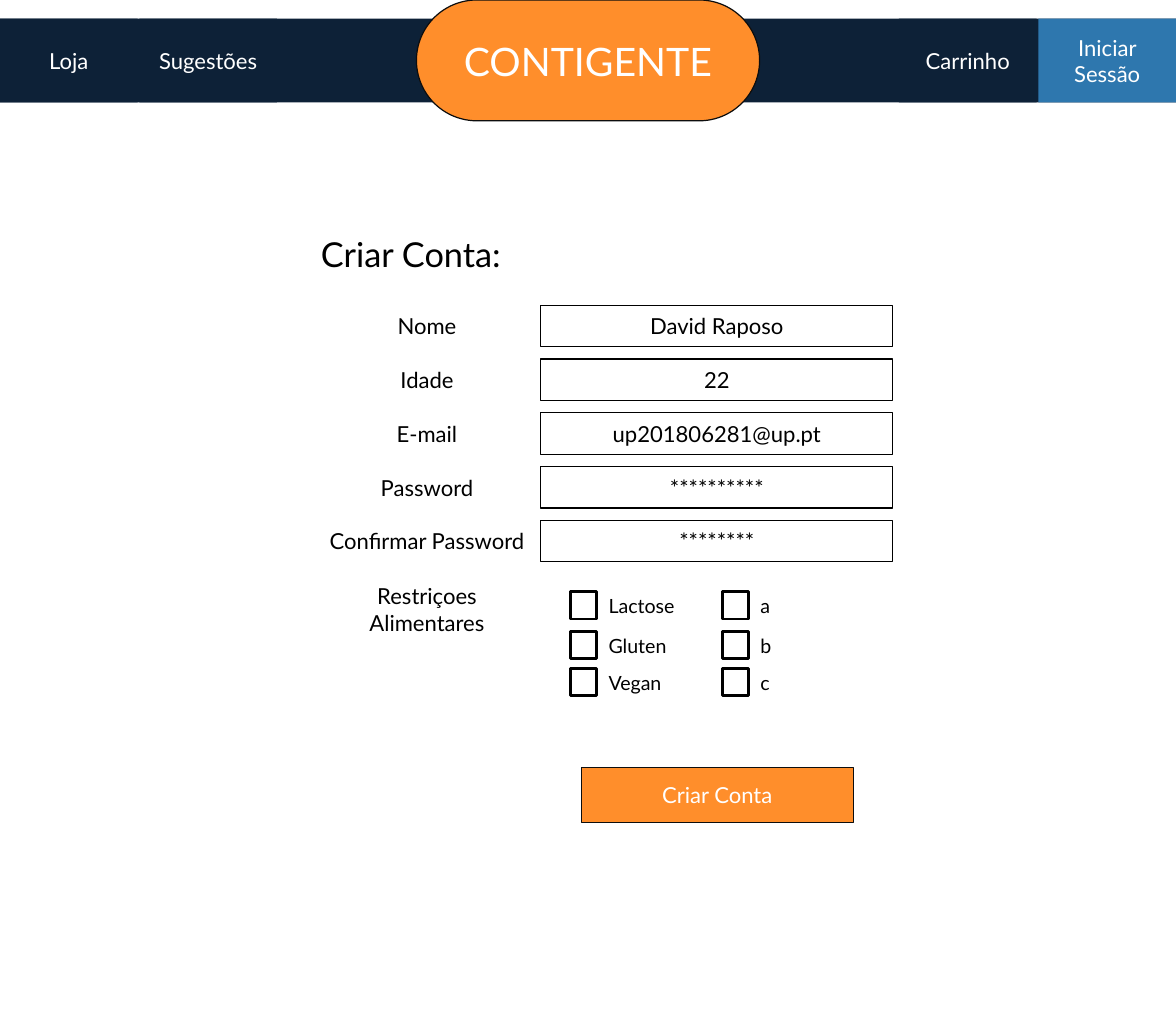
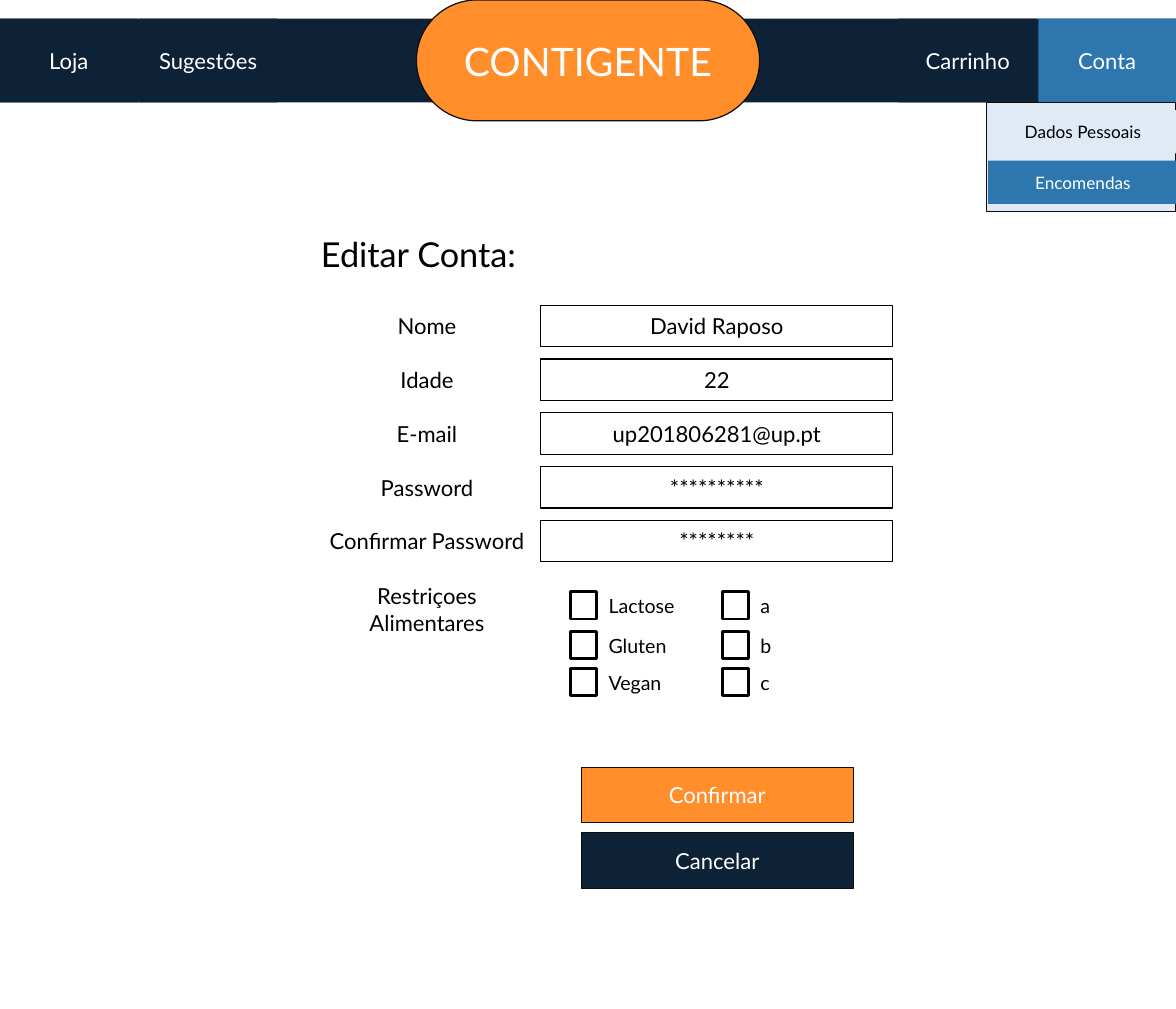
from dataclasses import dataclass

from pptx import Presentation
from pptx.dml.color import RGBColor
from pptx.enum.shapes import MSO_SHAPE
from pptx.enum.text import MSO_ANCHOR, MSO_AUTO_SIZE, PP_ALIGN
from pptx.util import Inches, Pt


@dataclass(frozen=True)
class Theme:
    font: str = "Lato"
    navy: str = "0D2137"
    orange: str = "FF8E2B"
    blue: str = "2E77AE"
    pale: str = "E0EAF5"
    white: str = "FFFFFF"
    black: str = "000000"
    outline: str = "0D0D0D"
    brand_size: int = 32
    title_size: int = 28
    body_size: int = 18
    option_size: int = 16
    menu_size: int = 14
    thin: float = 1
    thick: float = 2.25


THEME = Theme()
SLIDE_WIDTH, SLIDE_HEIGHT = 13.33, 11.44

BRAND = "CONTIGENTE"
NAVIGATION = [("Loja", 0), ("Sugestões", 1.58), ("Carrinho", 10.19)]
FIELDS = [
    ("Nome", "David Raposo"),
    ("Idade", "22"),
    ("E-mail", "up201806281@up.pt"),
    ("Password", "**********"),
    ("Confirmar Password", "********"),
]
RESTRICTIONS = "Restriçoes Alimentares"
OPTION_COLUMNS = [
    (6.47, 1.36, ["Lactose", "Gluten", "Vegan"]),
    (8.19, 2.57, ["a", "b", "c"]),
]
OPTION_TOPS = [6.71, 7.16, 7.58]
PAGES = [
    {
        "title": "Criar Conta:",
        "account": "Iniciar Sessão",
        "menu": [],
        "buttons": [("Criar Conta", THEME.orange)],
    },
    {
        "title": "Editar Conta:",
        "account": "Conta",
        "menu": [
            ("Dados Pessoais", THEME.pale, THEME.black),
            ("Encomendas", THEME.blue, THEME.white),
        ],
        "buttons": [("Confirmar", THEME.orange), ("Cancelar", THEME.navy)],
    },
]

BAR_TOP, BAR_HEIGHT, TAB_WIDTH = 0.21, 0.95, 1.56
FORM_LEFT, LABEL_WIDTH = 3.54, 2.6
FIELD_LEFT, FIELD_WIDTH, FIELD_HEIGHT = 6.13, 3.99, 0.47
FIELD_TOP, FIELD_STEP = 3.46, 0.61
BUTTON_TOP, BUTTON_STEP = 8.7, 0.74
MENU_WIDTH, MENU_TOP, MENU_STEP = 2.15, 1.25, 0.57


def write(shape, text, size, color, align):
    shape.text_frame.word_wrap = True
    paragraph = shape.text_frame.paragraphs[0]
    paragraph.text = text
    paragraph.alignment = align
    paragraph.font.name = THEME.font
    paragraph.font.size = Pt(size)
    paragraph.font.color.rgb = RGBColor.from_string(color)


def add_box(slide, box, fill, text="", color=THEME.white, size=THEME.body_size,
            line=None, line_width=THEME.thin, corner=0):
    shape = slide.shapes.add_shape(MSO_SHAPE.ROUNDED_RECTANGLE, *map(Inches, box))
    shape.adjustments[0] = corner
    shape.shadow.inherit = False
    shape.fill.solid()
    shape.fill.fore_color.rgb = RGBColor.from_string(fill)
    if line:
        shape.line.color.rgb = RGBColor.from_string(line)
        shape.line.width = Pt(line_width)
    else:
        shape.line.fill.background()
    if text:
        shape.text_frame.vertical_anchor = MSO_ANCHOR.MIDDLE
        write(shape, text, size, color, PP_ALIGN.CENTER)


def add_text(slide, box, text, size, align=PP_ALIGN.LEFT):
    shape = slide.shapes.add_textbox(*map(Inches, box))
    write(shape, text, size, THEME.black, align)
    shape.text_frame.auto_size = MSO_AUTO_SIZE.SHAPE_TO_FIT_TEXT


def add_header(slide, account):
    add_box(slide, (0, BAR_TOP, SLIDE_WIDTH, BAR_HEIGHT), THEME.navy)
    add_box(slide, (4.72, 0, 3.89, 1.37), THEME.orange, BRAND,
            size=THEME.brand_size, line=THEME.outline, corner=0.5)
    tabs = [(text, left, THEME.navy) for text, left in NAVIGATION]
    tabs.append((account, SLIDE_WIDTH - TAB_WIDTH, THEME.blue))
    for text, left, fill in tabs:
        add_box(slide, (left, BAR_TOP, TAB_WIDTH, BAR_HEIGHT), fill, text)


def add_menu(slide, items):
    if not items:
        return
    add_box(slide, (SLIDE_WIDTH - MENU_WIDTH, BAR_TOP + BAR_HEIGHT, MENU_WIDTH, 1.24),
            THEME.pale, line=THEME.outline)
    for index, (text, fill, color) in enumerate(items):
        add_box(slide, (11.2, MENU_TOP + index * MENU_STEP, MENU_WIDTH, 0.49),
                fill, text, color, THEME.menu_size)


def add_label(slide, top, text):
    add_box(slide, (FORM_LEFT, top, LABEL_WIDTH, FIELD_HEIGHT),
            THEME.white, text, THEME.black)


def add_form(slide, title):
    add_text(slide, (FORM_LEFT, 2.6, 6.26, 0.57), title,
             THEME.title_size, PP_ALIGN.JUSTIFY)
    for index, (label, value) in enumerate(FIELDS):
        top = FIELD_TOP + index * FIELD_STEP
        add_label(slide, top, label)
        add_box(slide, (FIELD_LEFT, top, FIELD_WIDTH, FIELD_HEIGHT),
                THEME.white, value, THEME.black, line=THEME.black)
    add_label(slide, 6.67, RESTRICTIONS)
    for left, width, options in OPTION_COLUMNS:
        for top, option in zip(OPTION_TOPS, options):
            add_box(slide, (left, top, 0.29, 0.31), THEME.white,
                    line=THEME.black, line_width=THEME.thick)
            add_text(slide, (left + 0.33, top - 0.02, width, 0.37),
                     option, THEME.option_size)


def add_buttons(slide, buttons):
    for index, (text, fill) in enumerate(buttons):
        add_box(slide, (6.59, BUTTON_TOP + index * BUTTON_STEP, 3.08, 0.63),
                fill, text, line=THEME.outline)


def main():
    presentation = Presentation()
    presentation.slide_width = Inches(SLIDE_WIDTH)
    presentation.slide_height = Inches(SLIDE_HEIGHT)
    for page in PAGES:
        slide = presentation.slides.add_slide(presentation.slide_layouts[6])
        add_header(slide, page["account"])
        add_menu(slide, page["menu"])
        add_form(slide, page["title"])
        add_buttons(slide, page["buttons"])
    presentation.save("out.pptx")


if __name__ == "__main__":
    main()
